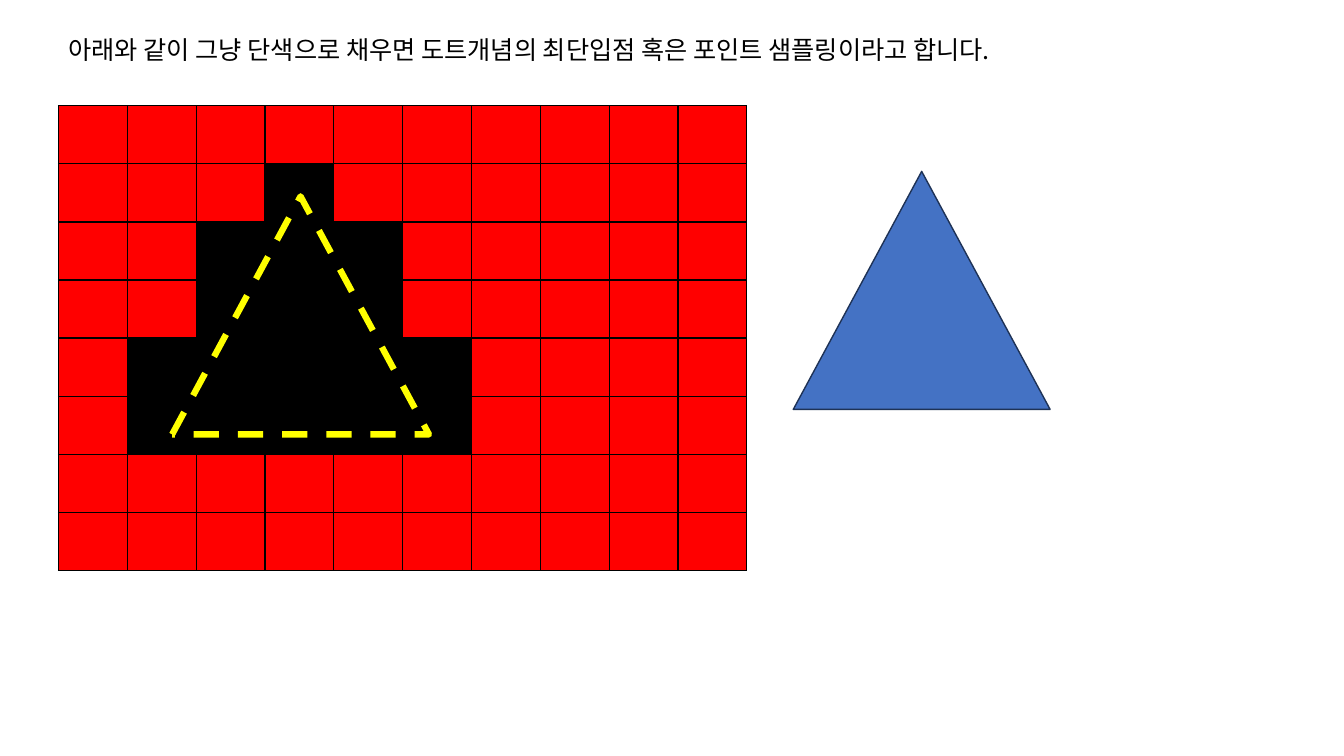
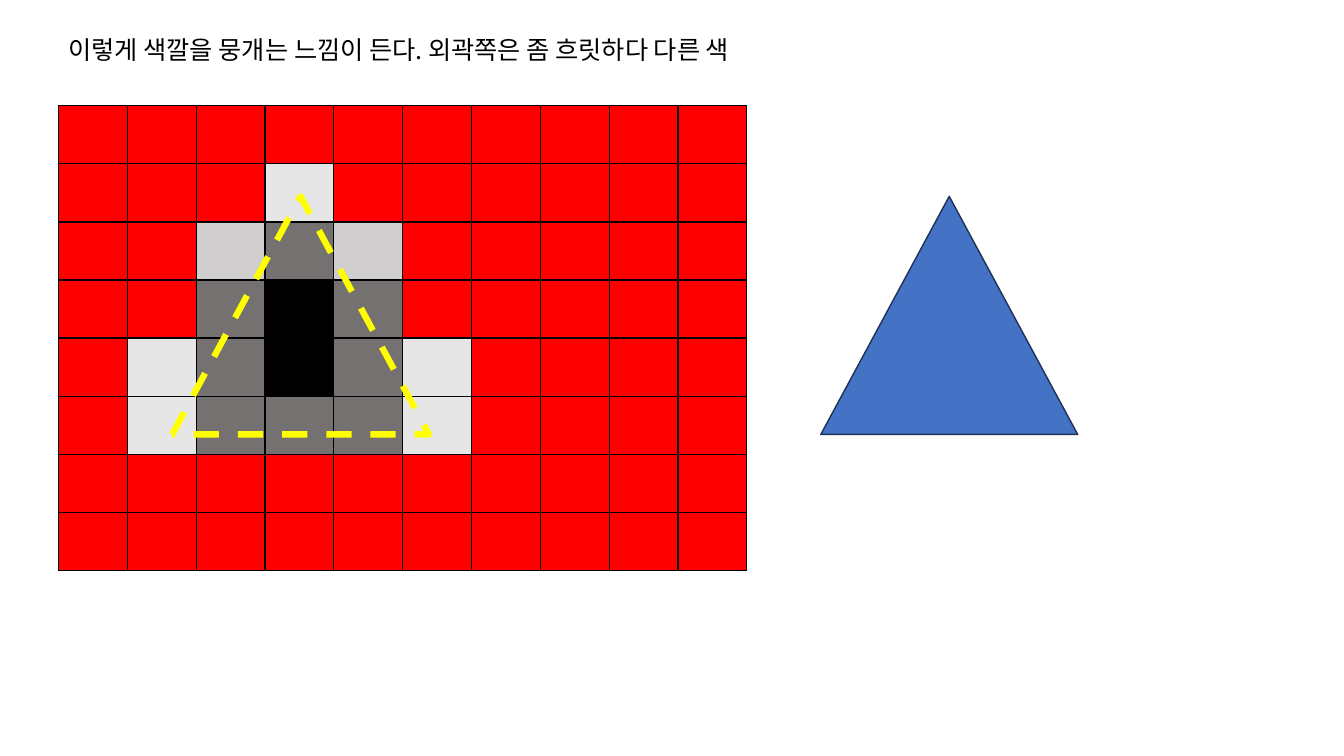
from lxml import etree
from pptx import Presentation
from pptx import util as u
from pptx.dml.color import RGBColor
from pptx.enum import dml, shapes, text
from pptx.oxml import ns

COLORS = {
    "background": "FF0000",
    "ink": "000000",
    "dark": "767171",
    "middle": "D0CECE",
    "light": "E7E6E6",
    "blue": "4472C4",
    "navy": "1E3256",
    "yellow": "FFFF00",
}
PIXELS = {".": "background", "#": "ink", "d": "dark", "m": "middle", "l": "light"}

SOLID_PIXELS = [
    "..........",
    "...#......",
    "..###.....",
    "..###.....",
    ".#####....",
    ".#####....",
    "..........",
    "..........",
]
BLENDED_PIXELS = [
    "..........",
    "...l......",
    "..mdm.....",
    "..d#d.....",
    ".ld#dl....",
    ".ldddl....",
    "..........",
    "..........",
]


class Deck:
    FONT = "Noto Sans CJK KR"
    LEFT, TOP = 0.58, 1.05
    COLUMN, ROW = 0.683, 0.576

    def __init__(self):
        self.presentation = Presentation()
        self.presentation.slide_width = u.Inches(13.33)
        self.presentation.slide_height = u.Inches(7.5)
        self.slide = None

    def color(self, name):
        return RGBColor.from_string(COLORS[name])

    def box(self, column, row, columns, rows):
        return (
            u.Inches(self.LEFT + column * self.COLUMN),
            u.Inches(self.TOP + row * self.ROW),
            u.Inches(columns * self.COLUMN),
            u.Inches(rows * self.ROW),
        )

    def add_slide(self):
        self.slide = self.presentation.slides.add_slide(self.presentation.slide_layouts[6])

    def caption(self, words, columns):
        shape = self.slide.shapes.add_textbox(*self.box(0, -1.32, columns, 0.7))
        frame = shape.text_frame
        frame.text = words
        frame.word_wrap = False
        frame.auto_size = text.MSO_AUTO_SIZE.SHAPE_TO_FIT_TEXT
        run = frame.paragraphs[0].runs[0]
        run.font.size = u.Pt(18)
        run.font.name = self.FONT
        run.font.color.rgb = self.color("ink")
        east_asian = etree.SubElement(run.font._element, ns.qn("a:ea"))
        east_asian.set("typeface", self.FONT)

    def border(self, cell):
        properties = cell._tc.get_or_add_tcPr()
        for position, side in enumerate(("lnL", "lnR", "lnT", "lnB")):
            line = etree.Element(ns.qn(f"a:{side}"), w=str(u.Pt(1)))
            fill = etree.SubElement(line, ns.qn("a:solidFill"))
            etree.SubElement(fill, ns.qn("a:srgbClr"), val=COLORS["ink"])
            properties.insert(position, line)

    def pixel_grid(self, pixels):
        rows, columns = len(pixels), len(pixels[0])
        table = self.slide.shapes.add_table(
            rows, columns, *self.box(0, 0, columns, rows)
        ).table
        table.first_row = False
        table.horz_banding = False
        for row, line in enumerate(pixels):
            for column, pixel in enumerate(line):
                cell = table.cell(row, column)
                cell.fill.solid()
                cell.fill.fore_color.rgb = self.color(PIXELS[pixel])
                self.border(cell)

    def triangle(self, column, row, line, width, fill=None, dash=None):
        shape = self.slide.shapes.add_shape(
            shapes.MSO_SHAPE.ISOSCELES_TRIANGLE, *self.box(column, row, 3.73, 4.1)
        )
        shape.shadow.inherit = False
        if fill:
            shape.fill.solid()
            shape.fill.fore_color.rgb = self.color(fill)
        else:
            shape.fill.background()
        shape.line.color.rgb = self.color(line)
        shape.line.width = u.Pt(width)
        if dash:
            shape.line.dash_style = dash

    def sampling_slide(self, words, caption_columns, pixels, column, row):
        self.add_slide()
        self.caption(words, caption_columns)
        self.pixel_grid(pixels)
        self.triangle(column, row, "navy", 1, fill="blue")
        self.triangle(1.65, 1.56, "yellow", 4.5, dash=dml.MSO_LINE.DASH)


def main():
    deck = Deck()
    deck.sampling_slide(
        "아래와 같이 그냥 단색으로 채우면 도트개념의 최단입점 혹은 포인트 샘플링이라고 합니다.",
        15.29, SOLID_PIXELS, 10.67, 1.13,
    )
    deck.sampling_slide(
        "이렇게 색깔을 뭉개는 느낌이 든다. 외곽쪽은 좀 흐릿하다 다른 색",
        11.17, BLENDED_PIXELS, 11.07, 1.56,
    )
    deck.presentation.save("out.pptx")


if __name__ == "__main__":
    main()
